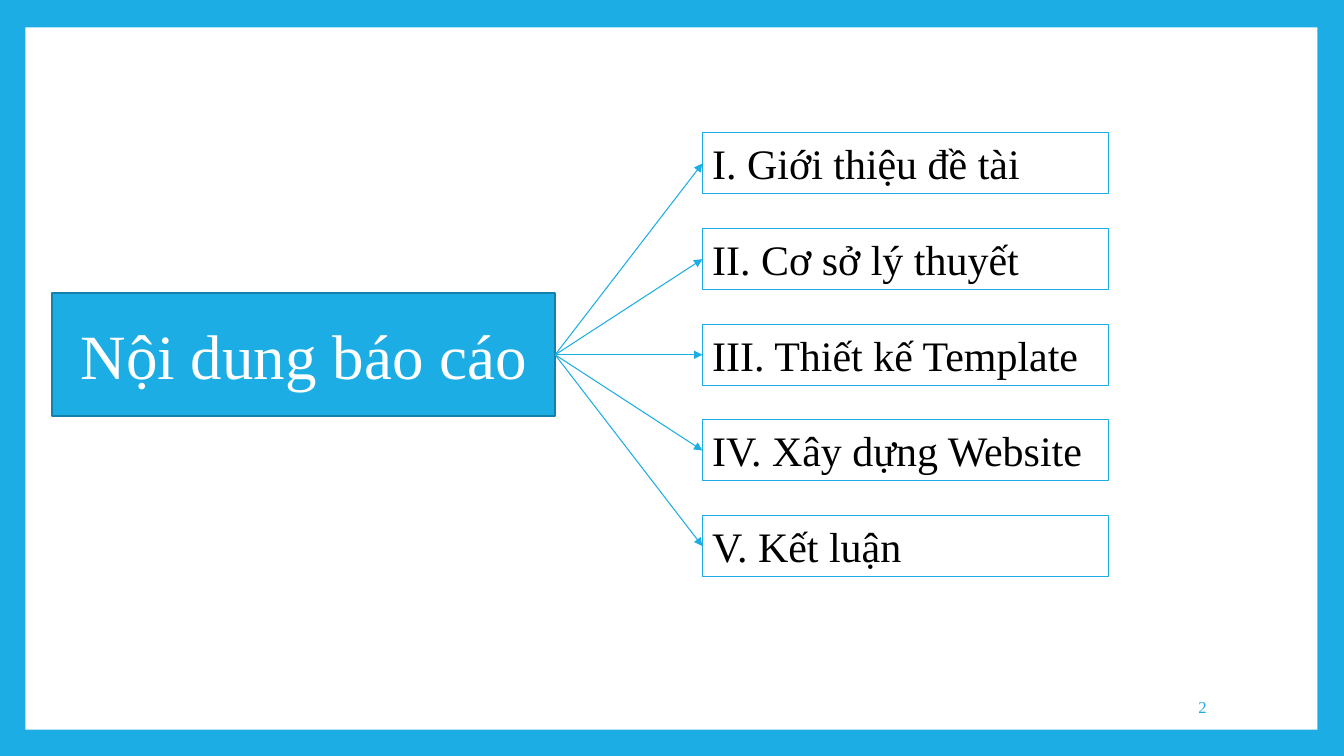
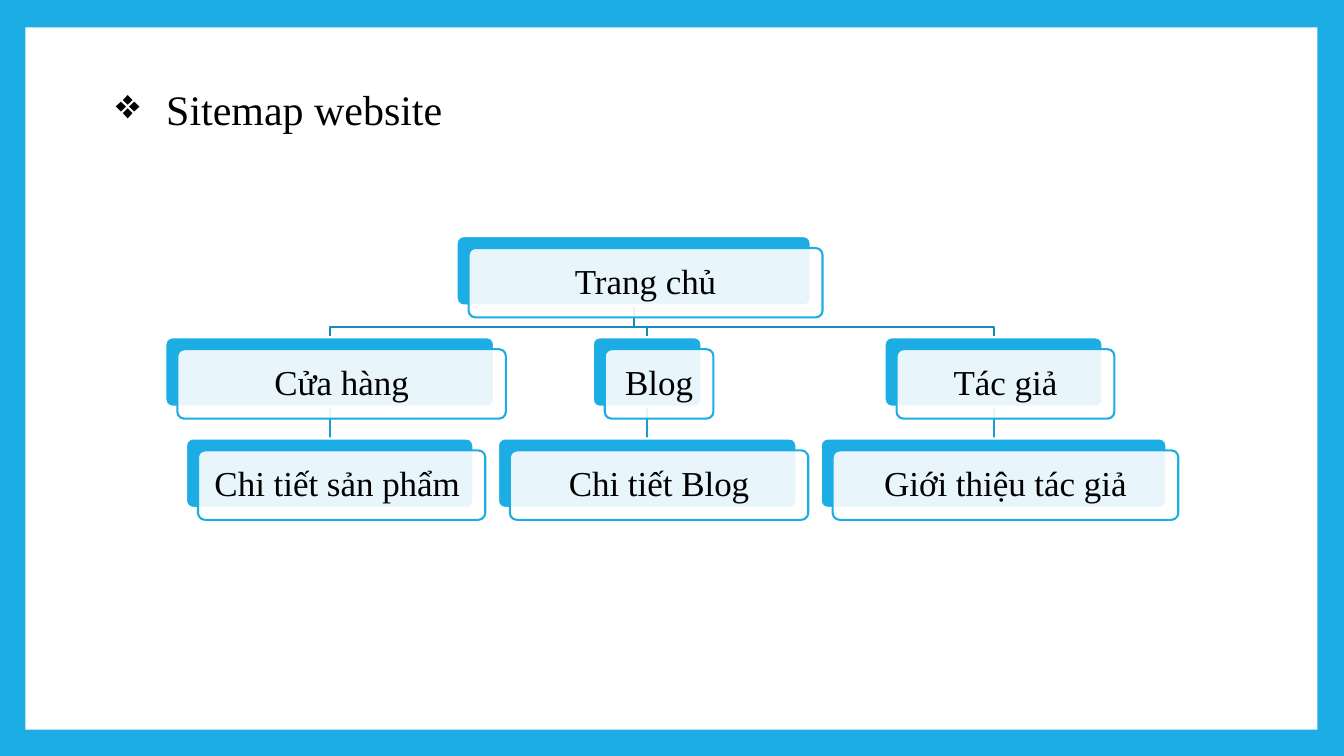
from dataclasses import dataclass

from lxml import etree
from pptx import Presentation
from pptx.dml.color import RGBColor
from pptx.enum import shapes, text
from pptx.oxml import ns
from pptx.util import Cm, Pt


@dataclass(frozen=True)
class Theme:
    font: str = "Times New Roman"
    blue: str = "1CADE4"
    edge: str = "1580A9"
    bend: str = "168BB7"
    stem: str = "199DCF"
    white: str = "FFFFFF"
    black: str = "000000"
    hub: int = 45
    head: int = 30
    node: int = 25
    page: int = 12
    thin: float = 0.75
    thick: float = 1.5


T = Theme()
RECT = shapes.MSO_SHAPE.RECTANGLE
ROUND = shapes.MSO_SHAPE.ROUNDED_RECTANGLE
LEFT, MID, RIGHT = text.PP_ALIGN.LEFT, text.PP_ALIGN.CENTER, text.PP_ALIGN.RIGHT
TOP, CENTER = text.MSO_ANCHOR.TOP, text.MSO_ANCHOR.MIDDLE

# Content; all lengths are in centimetres
SIZE = (33.87, 19.05)
PANEL = (0.64, 0.69, 32.56, 17.7)
PAGE = ("2", (25.91, 17.3, 4.75, 1.02))

HUB = ("Nội dung báo cáo", (1.32, 7.39, 12.67, 3.1))
TOPICS = [
    "I. Giới thiệu đề tài",
    "II. Cơ sở lý thuyết",
    "III. Thiết kế Template",
    "IV. Xây dựng Website",
    "V. Kết luận",
]
TOPIC = (17.7, 3.35, 10.24, 1.54)
TOPIC_STEP = 2.41

HEAD = ("Sitemap website", (2.67, 1.35, 16.15, 1.96))
# Each node: label, width
ROOT = ("Trang chủ", 8.92)
ROOT_X = 15.97
# Each branch: centre, nodes from top to bottom
BRANCHES = [
    (8.31, [("Cửa hàng", 8.28), ("Chi tiết sản phẩm ", 7.24)]),
    (16.31, [("Blog", 2.74), ("Chi tiết Blog", 7.52)]),
    (25.04, [("Tác giả", 5.49), ("Giới thiệu tác giả", 8.71)]),
]
TREE_TOP, TREE_STEP, NODE_H = 5.95, 2.55, 1.75
SHIFT = 0.3
BEND_GAP = 0.25


def rgb(code):
    return RGBColor.from_string(code)


def sub(parent, tag, **attrs):
    return etree.SubElement(parent, ns.qn(tag), **attrs)


def stroke(line, color, width):
    line.color.rgb = rgb(color)
    line.width = Pt(width)


def box(page, kind, at, fill=None, line=None, width=T.thin):
    part = page.shapes.add_shape(kind, *map(Cm, at))
    part.shadow.inherit = False
    if fill:
        part.fill.solid()
        part.fill.fore_color.rgb = rgb(fill)
    else:
        part.fill.background()
    if line:
        stroke(part.line, line, width)
    else:
        part.line.fill.background()
    return part


def write(part, words, size, color=T.black, align=LEFT, anchor=TOP):
    frame = part.text_frame
    frame.word_wrap = True
    frame.vertical_anchor = anchor
    para = frame.paragraphs[0]
    para.alignment = align
    run = para.add_run()
    run.text = words
    run.font.name = T.font
    run.font.size = Pt(size)
    run.font.color.rgb = rgb(color)
    return para


def label(page, words, at, *style):
    return write(page.shapes.add_textbox(*map(Cm, at)), words, *style)


def link(page, start, end, color, width, arrow=False):
    wire = page.shapes.add_connector(
        shapes.MSO_CONNECTOR.STRAIGHT, *map(Cm, start + end))
    stroke(wire.line, color, width)
    if arrow:
        sub(wire.line._get_or_add_ln(), "a:tailEnd", type="triangle")
    sub(wire.element.spPr, "a:effectLst")


def elbow(page, start, end):
    """Draw a line that goes down, across and down again."""
    bend = end[1] - BEND_GAP
    first, *rest = [tuple(map(Cm, spot)) for spot in
                    (start, (start[0], bend), (end[0], bend), end)]
    pen = page.shapes.build_freeform(*first)
    pen.add_line_segments(rest, close=False)
    wire = pen.convert_to_shape()
    wire.shadow.inherit = False
    wire.fill.background()
    stroke(wire.line, T.bend, T.thick)


def level(row):
    return TREE_TOP + row * TREE_STEP


def card(page, mid, row, words, wide):
    """Draw a solid card with a translucent labelled one in front."""
    left, top = mid - wide / 2, level(row)
    back = box(page, ROUND, (left, top, wide, NODE_H),
               T.blue, T.white, T.thick)
    front = box(page, ROUND, (left + SHIFT, top + SHIFT, wide, NODE_H),
                T.white, T.blue, T.thick)
    for part in (back, front):
        part.adjustments[0] = 0.1
    tint = front.element.spPr.find(ns.qn("a:solidFill"))[0]
    sub(tint, "a:alpha", val="90000")
    write(front, words, T.node, T.black, MID, CENTER).line_spacing = 0.9


def frame(deck, layout, page):
    """Give the master its background and the layout its white panel."""
    back = deck.slide_master.background.fill
    back.solid()
    back.fore_color.rgb = rgb(T.blue)
    tree = layout.shapes.element
    for spare in list(layout.placeholders):
        tree.remove(spare.element)
    tree.append(box(page, RECT, PANEL, T.white).element)


def agenda(page):
    label(page, *PAGE, T.page, T.blue, RIGHT, CENTER)
    left, top, wide, high = TOPIC
    tops = [top + i * TOPIC_STEP for i in range(len(TOPICS))]
    for words, y in zip(TOPICS, tops):
        part = box(page, RECT, (left, y, wide, high), line=T.blue)
        write(part, words, T.head)
        part.text_frame.auto_size = text.MSO_AUTO_SIZE.SHAPE_TO_FIT_TEXT
    words, at = HUB
    hub = box(page, RECT, at, T.blue, T.edge, T.thick)
    write(hub, words, T.hub, T.white, MID, CENTER)
    start = (at[0] + at[2], at[1] + at[3] / 2)
    for y in tops:
        link(page, start, (left, y + high / 2), T.blue, T.thin, arrow=True)


def sitemap(page):
    para = label(page, *HEAD, T.head)
    para.line_spacing = 1.5
    props = para._p.get_or_add_pPr()
    props.set("marL", str(Cm(1.27)))
    props.set("indent", str(-Cm(1.27)))
    sub(props, "a:buChar", char="❖")
    for mid, nodes in BRANCHES:
        elbow(page, (ROOT_X, level(0) + NODE_H), (mid, level(1)))
        for row in range(1, len(nodes)):
            link(page, (mid, level(row) + NODE_H), (mid, level(row + 1)),
                 T.stem, T.thick)
    card(page, ROOT_X, 0, *ROOT)
    for mid, nodes in BRANCHES:
        for row, node in enumerate(nodes, 1):
            card(page, mid, row, *node)


def main():
    deck = Presentation()
    deck.slide_width, deck.slide_height = map(Cm, SIZE)
    layout = deck.slide_layouts[6]
    first, second = (deck.slides.add_slide(layout) for _ in range(2))
    frame(deck, layout, first)
    agenda(first)
    sitemap(second)
    deck.save("out.pptx")


if __name__ == "__main__":
    main()
